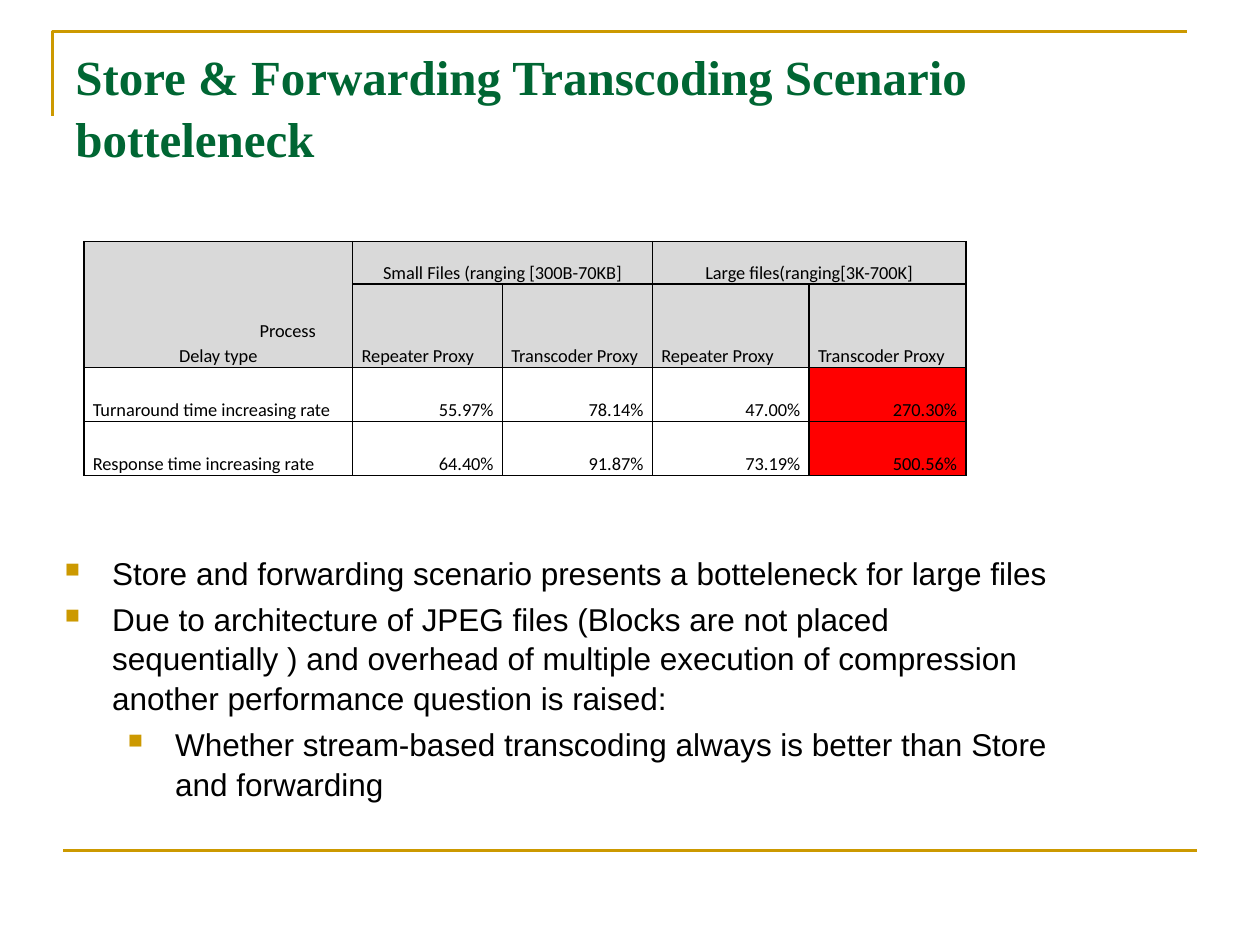
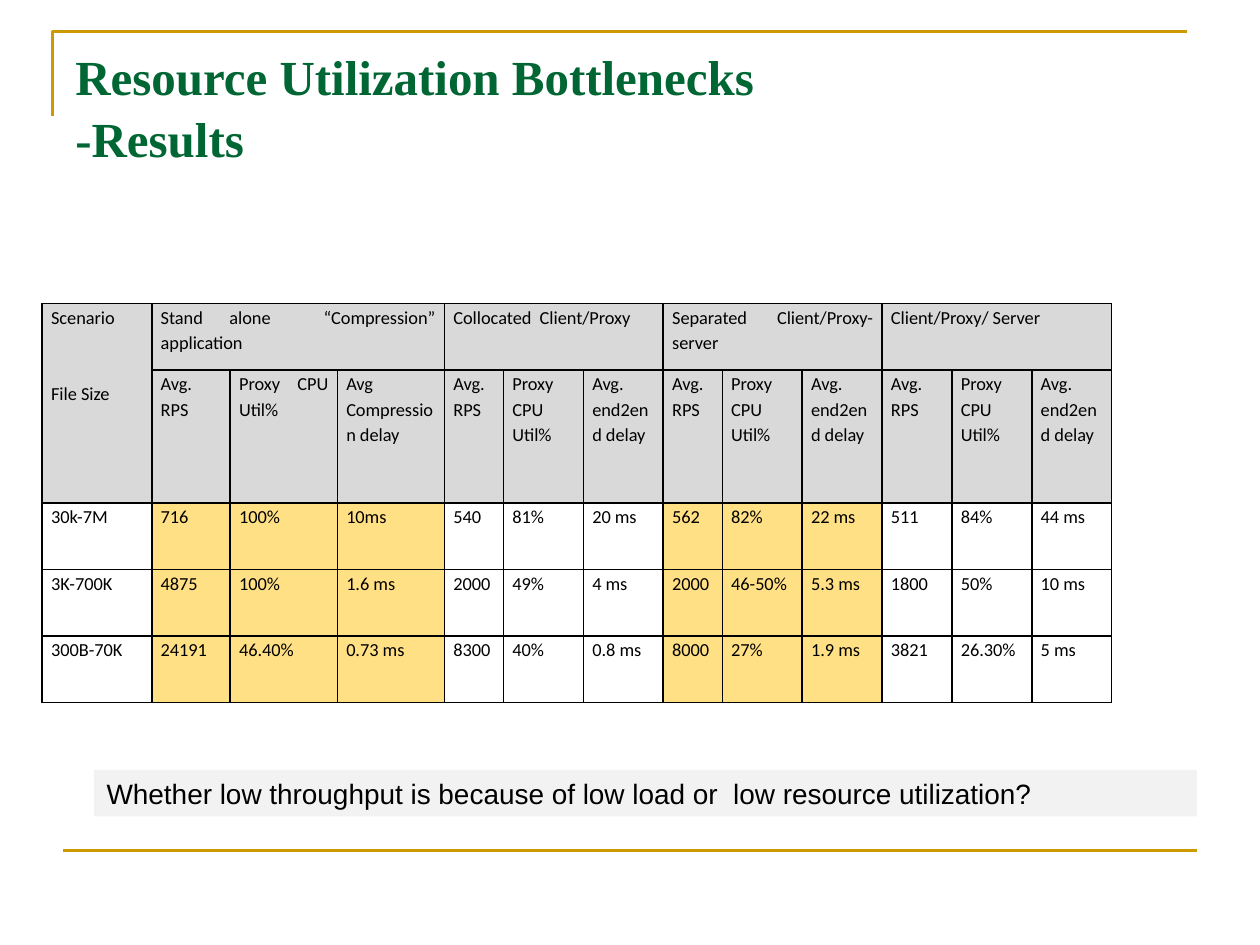
from dataclasses import dataclass
from typing import Callable

from lxml import etree
from pptx import Presentation
from pptx.dml.color import RGBColor
from pptx.enum.shapes import MSO_CONNECTOR, MSO_SHAPE
from pptx.enum.text import MSO_ANCHOR, MSO_AUTO_SIZE, PP_ALIGN
from pptx.oxml.ns import qn
from pptx.util import Cm, Pt

LEFT, MID, RIGHT, FULL = PP_ALIGN.LEFT, PP_ALIGN.CENTER, PP_ALIGN.RIGHT, PP_ALIGN.JUSTIFY
TOP, LOW = MSO_ANCHOR.TOP, MSO_ANCHOR.BOTTOM
GROW = MSO_AUTO_SIZE.SHAPE_TO_FIT_TEXT
LINE, RECT = MSO_CONNECTOR.STRAIGHT, MSO_SHAPE.RECTANGLE
GOLD, GREEN, BLACK, WHITE = "CC9900", "006633", "000000", "FFFFFF"
GREY, PALE, RED, CREAM = "D9D9D9", "F2F2F2", "FF0000", "FFE085"
SERIF, SANS, SMALL = "Times New Roman", "Arial", "Calibri"


@dataclass
class Grid:
    left: float
    top: float
    cols: list[float]
    rows: list[float]
    cells: list[list[str]]
    spans: list[tuple[int, int, int, int]]
    anchor: MSO_ANCHOR
    fill: Callable[[int, int], str]
    align: Callable[[int, int], PP_ALIGN]


@dataclass
class Point:
    text: str
    left: float


def paint(text: str) -> RGBColor:
    return RGBColor.from_string(text)


def style(par, face: str, size: float, tint: str = BLACK, bold: bool = False) -> None:
    font = par.font
    font.name, font.size, font.bold = face, Pt(size), bold
    font.color.rgb = paint(tint)


def child(node, tag: str, **traits: str):
    return etree.SubElement(node, qn(tag), traits)


def add_text(slide, left: float, top: float, width: float, height: float):
    frame = slide.shapes.add_textbox(Cm(left), Cm(top), Cm(width), Cm(height)).text_frame
    frame.word_wrap = True
    return frame


def add_frame(slide) -> None:
    path = slide.shapes.build_freeform(Cm(1.06), Cm(2.33))
    path.add_line_segments([(Cm(1.06), Cm(0.64)), (Cm(23.92), Cm(0.64))], close=False)
    edge = path.convert_to_shape()
    edge.fill.background()
    edge.shadow.inherit = False
    rule = slide.shapes.add_connector(LINE, Cm(1.27), Cm(17.15), Cm(24.13), Cm(17.15))
    child(rule._element.spPr, "a:effectLst")
    for item in (edge, rule):
        item.line.color.rgb = paint(GOLD)
        item.line.width = Pt(1.5)


def add_slide(deck, title: str):
    slide = deck.slides.add_slide(deck.slide_layouts[6])
    add_frame(slide)
    par = add_text(slide, 1.27, 0.76, 22.86, 3.18).paragraphs[0]
    par.text = title
    par.line_spacing = 1.05
    style(par, SERIF, 28, GREEN, True)
    return slide


def add_edges(cell) -> None:
    props = cell._tc.get_or_add_tcPr()
    for side in "LRTB":
        line = child(props, f"a:ln{side}", w=str(Pt(1)))
        child(child(line, "a:solidFill"), "a:srgbClr", val=BLACK)


def add_grid(slide, grid: Grid):
    table = slide.shapes.add_table(
        len(grid.rows), len(grid.cols), Cm(grid.left), Cm(grid.top),
        Cm(sum(grid.cols)), Cm(sum(grid.rows))).table
    table.first_row = table.horz_banding = False
    for col, width in zip(table.columns, grid.cols):
        col.width = Cm(width)
    for row, height in zip(table.rows, grid.rows):
        row.height = Cm(height)
    for r, words in enumerate(grid.cells):
        for c, text in enumerate(words):
            cell = table.cell(r, c)
            cell.text = text
            add_edges(cell)
            cell.fill.solid()
            cell.fill.fore_color.rgb = paint(grid.fill(r, c))
            cell.vertical_anchor = grid.anchor
            cell.margin_left = cell.margin_right = Cm(0.18)
            cell.margin_top = cell.margin_bottom = 0
            for par in cell.text_frame.paragraphs:
                par.alignment = grid.align(r, c)
                par.line_spacing = 1.15
                style(par, SMALL, 10.5)
    for top, left, low, right in grid.spans:
        table.cell(top, left).merge(table.cell(low, right))
    return table


def add_points(slide, points: list[Point]) -> None:
    frame = add_text(slide, 1.06, 11, 20.32, 5.82)
    for i, point in enumerate(points):
        par = frame.add_paragraph() if i else frame.paragraphs[0]
        par.text = point.text
        par.line_spacing = 1.05
        par.space_before = Pt(3.6)
        style(par, SANS, 18)
        props = par._p.get_or_add_pPr()
        props.set("marL", str(Cm(point.left)))
        props.set("indent", str(Cm(-0.95)))
        child(child(props, "a:buClr"), "a:srgbClr", val=GOLD)
        child(props, "a:buSzPct", val="65000")
        child(props, "a:buChar", char="■")


def add_note(slide, text: str) -> None:
    box = slide.shapes.add_shape(RECT, Cm(1.9), Cm(15.52), Cm(22.23), Cm(0.94))
    box.shadow.inherit = False
    box.fill.solid()
    box.fill.fore_color.rgb = paint(PALE)
    box.line.fill.background()
    frame = box.text_frame
    frame.word_wrap = True
    frame.auto_size = GROW
    par = frame.paragraphs[0]
    par.text = text
    par.alignment = LEFT
    style(par, SANS, 16)


def delay_fill(r: int, c: int) -> str:
    if r < 2:
        return GREY
    return RED if c == 4 else WHITE


def delay_align(r: int, c: int) -> PP_ALIGN:
    if r == 0:
        return MID
    return RIGHT if r > 1 and c else LEFT


def load_fill(r: int, c: int) -> str:
    if r < 2:
        return GREY
    return CREAM if c in (1, 2, 3, 7, 8, 9) else WHITE


def load_align(r: int, c: int) -> PP_ALIGN:
    return FULL


DELAY = Grid(
    1.69, 4.87, [5.42, 3.02, 3.02, 3.16, 3.16], [0.86, 1.68, 1.09, 1.09],
    [["Process\nDelay type", "Small Files (ranging [300B-70KB]", "",
      "Large files(ranging[3K-700K]", ""],
     [""] + ["Repeater Proxy", "Transcoder Proxy"] * 2,
     ["Turnaround time increasing rate", "55.97%", "78.14%", "47.00%", "270.30%"],
     ["Response time increasing rate", "64.40%", "91.87%", "73.19%", "500.56%"]],
    [(0, 0, 1, 0), (0, 1, 0, 2), (0, 3, 0, 4)], LOW, delay_fill, delay_align)

RATE = ["Avg. RPS", "Proxy CPU Util%"]
LOAD = Grid(
    0.85, 6.12,
    [2.21, 1.58, 2.16, 2.16] + [1.19, 1.61, 1.61] * 2 + [1.41, 1.61, 1.61],
    [1.34, 2.68, 1.34, 1.34, 1.34],
    [["Scenario\nFile Size", "Stand alone  “Compression” application", "", "",
      "Collocated  Client/Proxy", "", "", "Separated Client/Proxy-server", "", "",
      "Client/Proxy/ Server", "", ""],
     ["", *RATE, "Avg Compression delay"] + [*RATE, "Avg. end2end delay"] * 3,
     ["30k-7M", "716", "100%", "10ms", "540", "81%", "20 ms",
      "562", "82%", "22 ms", "511", "84%", "44 ms"],
     ["3K-700K", "4875", "100%", "1.6 ms", "2000", "49%", "4 ms",
      "2000", "46-50%", "5.3 ms", "1800", "50%", "10 ms"],
     ["300B-70K", "24191", "46.40%", "0.73 ms", "8300", "40%", "0.8 ms",
      "8000", "27%", "1.9 ms", "3821", "26.30%", "5 ms"]],
    [(0, 0, 1, 0)] + [(0, c, 0, c + 2) for c in range(1, 13, 3)],
    TOP, load_fill, load_align)

POINTS = [
    Point("Store and forwarding scenario presents a botteleneck for large files", 0.95),
    Point("Due to architecture of JPEG files (Blocks are not placed sequentially ) and "
          "overhead of multiple execution of compression another performance question "
          "is raised:", 0.95),
    Point("Whether stream-based transcoding always is better than Store and forwarding",
          2.22),
]


def main() -> None:
    deck = Presentation()
    deck.slide_width, deck.slide_height = Cm(25.4), Cm(19.05)

    slide = add_slide(deck, "Store & Forwarding Transcoding Scenario botteleneck")
    table = add_grid(slide, DELAY)
    head = table.cell(0, 0).text_frame.paragraphs[0]
    head._p.get_or_add_pPr().set("marL", str(Cm(2.8)))
    add_points(slide, POINTS)

    slide = add_slide(deck, "Resource Utilization Bottlenecks\v-Results")
    table = add_grid(slide, LOAD)
    table.cell(0, 0).text_frame.paragraphs[1].space_before = Pt(29)
    add_note(slide, "Whether low throughput is because of low load or  "
                    "low resource utilization?")
    deck.save("out.pptx")


if __name__ == "__main__":
    main()
